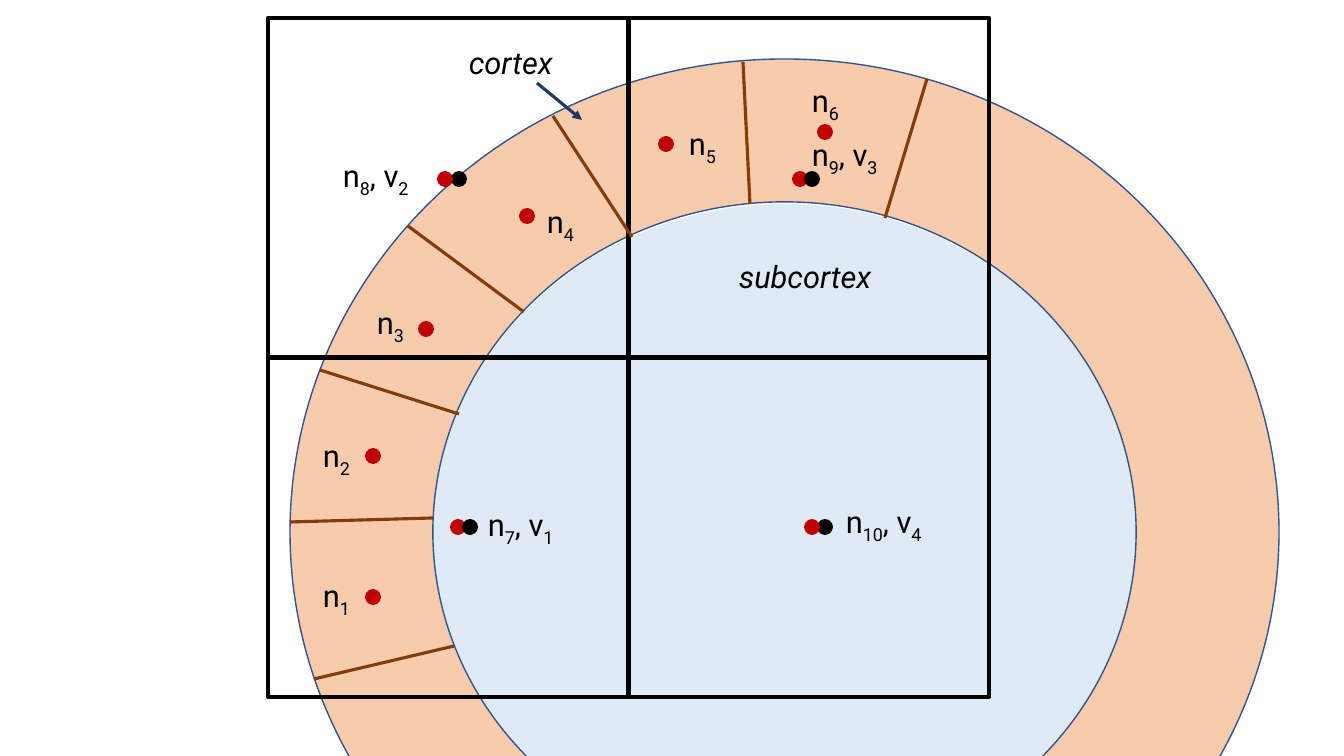
from pptx import Presentation, util as u
from pptx.dml.color import RGBColor
from pptx.enum import shapes, text
from pptx.oxml.ns import qn
from lxml import etree

PX = 914400 / 100.8
RED, BLACK = "C00000", "000000"
KIND = shapes.MSO_SHAPE


def px(*vals):
    return [round(v * PX) for v in vals]


def rgb(code):
    return RGBColor.from_string(code)


deck = Presentation()
deck.slide_width, deck.slide_height = px(1344, 756)
slide = deck.slides.add_slide(deck.slide_layouts[6])
items = slide.shapes

# Subcortex, and the cortex ring around it
core = items.add_shape(KIND.OVAL, *px(433, 204, 704, 660))
ring = items.add_shape(KIND.DONUT, *px(290, 59, 989, 946))
ring.adjustments[0] = 0.151
for part, fill in ((core, "DEEBF7"), (ring, "F8CBAD")):
    part.shadow.inherit = False
    part.fill.solid()
    part.fill.fore_color.rgb = rgb(fill)
core.line.fill.background()
ring.line.color.rgb = rgb("325491")
ring.line.width = u.Pt(1)

# Voxel grid
for col in range(2):
    for row in range(2):
        box = items.add_shape(KIND.RECTANGLE, *px(268 + 361 * col, 18 + 340 * row, 360, 339))
        box.shadow.inherit = False
        box.fill.background()
        box.line.color.rgb = rgb(BLACK)
        box.line.width = u.Pt(3)

# Cortex dividers, then the arrow to the cortex
brown, navy = "843C0B", "203864"
lines = [
    (314, 679, 454, 646, brown),
    (290, 522, 433, 518, brown),
    (320, 370, 459, 414, brown),
    (408, 226, 524, 312, brown),
    (553, 116, 632, 237, brown),
    (743, 62, 750, 204, brown),
    (927, 79, 885, 218, brown),
    (537, 83, 582, 120, navy),
]
for *ends, hue in lines:
    line = items.add_connector(shapes.MSO_CONNECTOR.STRAIGHT, *px(*ends))
    line.line.color.rgb = rgb(hue)
    line.line.width = u.Pt(2.25)
    if hue == navy:
        etree.SubElement(line.line._get_or_add_ln(), qn("a:tailEnd"), type="triangle")
    etree.SubElement(line._element.spPr, qn("a:effectLst"))

# Nodes in red, voxel centres in black
dots = [
    (365, 589, RED), (365, 448, RED), (418, 321, RED),
    (519, 208, RED), (658, 136, RED), (817, 124, RED),
    (450, 519, RED), (462, 519, BLACK),
    (451, 171, BLACK), (437, 171, RED),
    (792, 171, RED), (804, 171, BLACK),
    (817, 519, BLACK), (804, 519, RED),
]
for x, y, hue in dots:
    dot = items.add_shape(KIND.OVAL, *px(x, y, 16, 16))
    dot.shadow.inherit = False
    dot.fill.solid()
    dot.fill.fore_color.rgb = rgb(hue)
    dot.line.fill.background()

# Labels: every second piece is a subscript
labels = [
    (313, 572, 49, "n|1"), (313, 432, 49, "n|2"), (367, 299, 49, "n|3"),
    (537, 198, 49, "n|4"), (679, 120, 49, "n|5"), (802, 77, 49, "n|6"),
    (478, 501, 94, "n|7|, v|1"), (333, 152, 94, "n|8|, v|2"),
    (802, 131, 94, "n|9|, v|3"), (836, 498, 105, "n|10|, v|4"),
    (459, 39, 105, "cortex"), (729, 253, 155, "subcortex"),
]
for x, y, wide, words in labels:
    frame = items.add_textbox(*px(x, y, wide, 47)).text_frame
    frame.word_wrap = False
    frame.auto_size = text.MSO_AUTO_SIZE.SHAPE_TO_FIT_TEXT
    for i, piece in enumerate(words.split("|")):
        run = frame.paragraphs[0].add_run()
        run.text = piece
        run.font.name = "Roboto"
        run.font.size = u.Pt(22)
        run.font.color.rgb = rgb(BLACK)
        if "|" not in words:
            run.font.italic = True
        if i % 2:
            run._r.get_or_add_rPr().set("baseline", "-25000")

deck.save("out.pptx")
